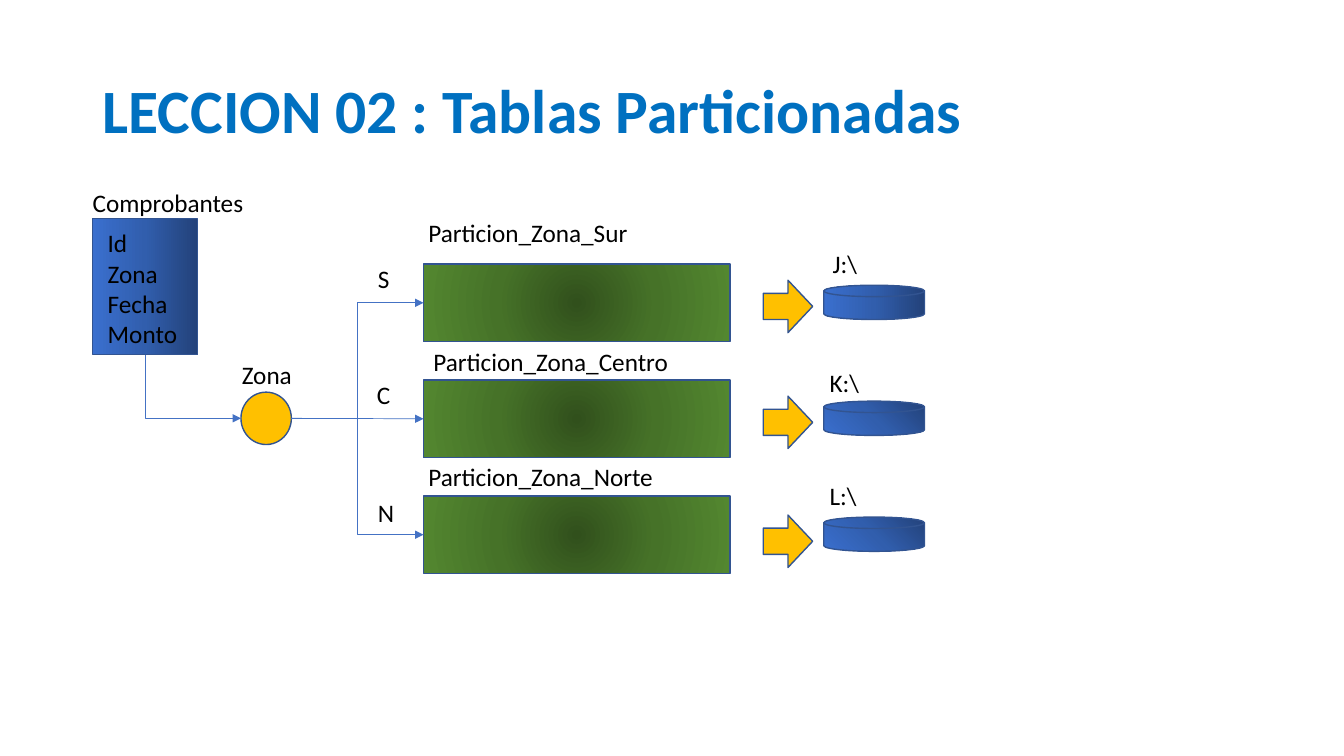
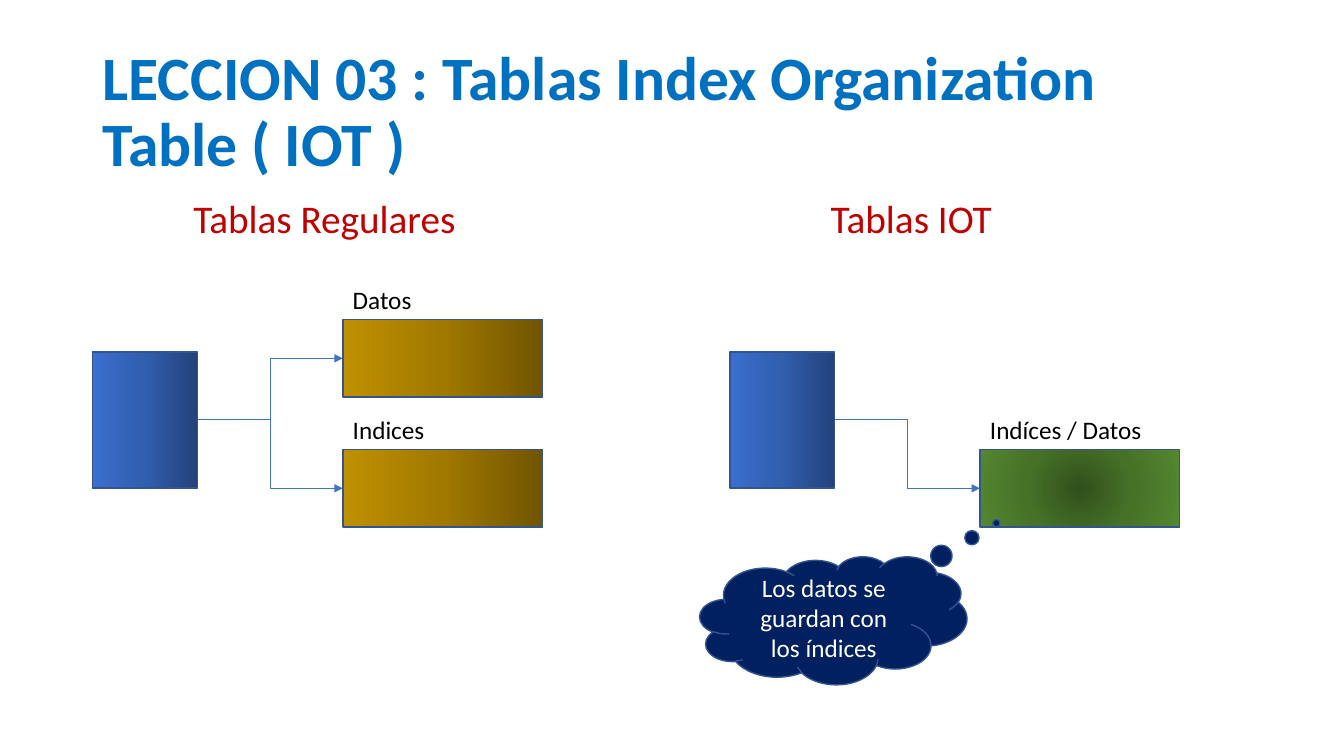
"""Build two slides on partitioned tables and index organized tables."""
from dataclasses import dataclass

from lxml.etree import SubElement
from pptx import Presentation
from pptx.dml.color import RGBColor
from pptx.enum.shapes import MSO_CONNECTOR as Link, MSO_SHAPE as Kind
from pptx.enum.text import MSO_ANCHOR as Anchor, MSO_AUTO_SIZE as Fit, PP_ALIGN as Align
from pptx.oxml.ns import qn
from pptx.util import Inches, Pt


@dataclass(frozen=True)
class Theme:
    font: str = "Calibri"
    title_size: int = 44
    heading_size: int = 28
    body_size: int = 18
    title: str = "0070C0"
    heading: str = "C00000"
    text: str = "000000"
    light: str = "FFFFFF"
    outline: str = "325491"
    link: str = "4472C4"
    yellow: str = "FFC000"
    navy: str = "002060"
    blue: tuple = ("23427A", "315EAD", "3A6FCE")
    green: tuple = ("31501C", "467228", "538730")
    gold: tuple = ("715500", "A17900", "BF9000")


THEME = Theme()
CENTER = (50, 50, 50, 50)
CORNER = (100, 0, 0, 100)
TABLE_SIZE = (1.04, 1.35)
BAR_HEIGHT = 0.77
SITES = {
    Kind.RECTANGLE: {"left": 1, "bottom": 2, "right": 3},
    Kind.OVAL: {"left": 2, "right": 6},
}

PARTITION_TITLE = "LECCION 02 : Tablas Particionadas"
PARTITION_TOP, PARTITION_STEP = 2.62, 1.15
PARTITIONS = [
    {"arrow_top": 2.78, "focus": None},
    {"arrow_top": 3.93, "focus": CORNER},
    {"arrow_top": 5.11, "focus": CORNER},
]
PARTITION_LABELS = [
    ("Comprobantes", 0.82, 1.81, 1.71),
    ("Particion_Zona_Sur", 4.15, 2.11, 2.2),
    ("Particion_Zona_Centro", 4.2, 3.39, 2.55),
    ("Particion_Zona_Norte", 4.15, 4.53, 2.45),
    ("Id\nZona\nFecha\nMonto", 0.97, 2.21, 0.9),
    ("Zona", 2.3, 3.52, 0.7),
    ("S", 3.65, 2.56, 0.32),
    ("C", 3.64, 3.71, 0.34),
    ("N", 3.65, 4.88, 0.36),
    ("J:\\", 8.16, 2.41, 0.45),
    ("K:\\", 8.13, 3.59, 0.5),
    ("L:\\", 8.13, 4.72, 0.48),
]

IOT_TITLE = "LECCION 03 : Tablas Index Organization Table ( IOT )"
IOT_GROUPS = [
    {
        "heading": ("Tablas Regulares", 1.82, 1.88, 2.83),
        "left": 0.92,
        "segments": [
            ("Datos", 3.17, 0.79, THEME.gold, None),
            ("Indices", 4.46, 0.92, THEME.gold, None),
        ],
    },
    {
        "heading": ("Tablas IOT", 8.14, 1.88, 1.82),
        "left": 7.24,
        "segments": [("Indíces / Datos", 4.46, 1.72, THEME.green, CENTER)],
    },
]
IOT_NOTE = "Los datos se guardan con los índices"


def rgb(color):
    return RGBColor.from_string(color)


def write(box, text, size, color, bold=False, align=Align.LEFT):
    frame = box.text_frame
    frame.text = text
    for para in frame.paragraphs:
        para.alignment = align
        para.font.name = THEME.font
        para.font.size = Pt(size)
        para.font.bold = bold
        para.font.color.rgb = rgb(color)
    return frame


def add_title(page, text):
    box = page.shapes.add_textbox(Inches(0.92), Inches(0.4), Inches(11.5), Inches(1.45))
    frame = write(box, text, THEME.title_size, THEME.title, bold=True)
    frame.word_wrap = True
    frame.vertical_anchor = Anchor.MIDDLE
    frame.paragraphs[0].line_spacing = 0.9


def add_label(page, text, left, top, width, size=THEME.body_size, color=THEME.text):
    height = 0.1 + (text.count("\n") + 1) * size / 60
    box = page.shapes.add_textbox(*map(Inches, (left, top, width, height)))
    frame = write(box, text, size, color)
    frame.word_wrap = False
    frame.auto_size = Fit.SHAPE_TO_FIT_TEXT


def fill_gradient(shape, colors, focus):
    shape.fill.gradient()
    gradient = shape.element.spPr.find(qn("a:gradFill"))
    gradient.clear()
    gradient.set("rotWithShape", "1")
    stops = SubElement(gradient, qn("a:gsLst"))
    for position, color in zip((0, 50000, 100000), colors):
        stop = SubElement(stops, qn("a:gs"), pos=str(position))
        SubElement(stop, qn("a:srgbClr"), val=color)
    if focus:
        radial = SubElement(gradient, qn("a:path"), path="circle")
        edges = {edge: str(share * 1000) for edge, share in zip("ltrb", focus)}
        SubElement(radial, qn("a:fillToRect"), edges)
    else:
        SubElement(gradient, qn("a:lin"), ang="10800000", scaled="1")


def add_block(page, kind, left, top, width, height, fill, focus=None):
    shape = page.shapes.add_shape(kind, *map(Inches, (left, top, width, height)))
    shape.shadow.inherit = False
    shape.line.color.rgb = rgb(THEME.outline)
    shape.line.width = Pt(1)
    if isinstance(fill, tuple):
        fill_gradient(shape, fill, focus)
    else:
        shape.fill.solid()
        shape.fill.fore_color.rgb = rgb(fill)
    return shape


def add_table_block(page, left, top):
    return add_block(page, Kind.RECTANGLE, left, top, *TABLE_SIZE, THEME.blue)


def side_point(shape, side):
    middle = shape.top + shape.height // 2
    return {
        "left": (shape.left, middle),
        "right": (shape.left + shape.width, middle),
        "bottom": (shape.left + shape.width // 2, shape.top + shape.height),
    }[side]


def turn_corner(connector, start, end):
    width, height = end[0] - start[0], end[1] - start[1]
    connector.left = (start[0] + end[0] - height) // 2
    connector.top = (start[1] + end[1] - width) // 2
    connector.width, connector.height = height, width
    properties = connector.element.spPr
    frame = properties.find(qn("a:xfrm"))
    frame.set("rot", "16200000")
    frame.set("flipH", "1")
    properties.find(qn("a:prstGeom")).set("prst", "bentConnector2")


def connect(page, source, target, side="right"):
    start, end = side_point(source, side), side_point(target, "left")
    kind = Link.STRAIGHT if abs(start[1] - end[1]) < Inches(0.02) else Link.ELBOW
    connector = page.shapes.add_connector(kind, *start, *end)
    if side == "bottom":
        turn_corner(connector, start, end)
    connector.line.color.rgb = rgb(THEME.link)
    connector.line.width = Pt(0.5)
    properties = connector.element.spPr
    SubElement(properties.find(qn("a:ln")), qn("a:tailEnd"), type="triangle")
    SubElement(properties, qn("a:effectLst"))
    glue = next(connector.element.iter(qn("p:cNvCxnSpPr")))
    for tag, shape, edge in (("a:stCxn", source, side), ("a:endCxn", target, "left")):
        site = SITES[shape.auto_shape_type][edge]
        SubElement(glue, qn(tag), id=str(shape.shape_id), idx=str(site))


def build_partitions(page):
    add_title(page, PARTITION_TITLE)
    table = add_table_block(page, 0.92, 2.17)
    key = add_block(page, Kind.OVAL, 2.39, 3.89, 0.5, 0.52, THEME.yellow)
    connect(page, table, key, "bottom")
    for index, partition in enumerate(PARTITIONS):
        top = PARTITION_TOP + index * PARTITION_STEP
        bar = add_block(page, Kind.RECTANGLE, 4.2, top, 3.04, BAR_HEIGHT, THEME.green, CENTER)
        connect(page, key, bar)
        add_block(page, Kind.FLOWCHART_MAGNETIC_DISK, 8.17, top + 0.21, 1, 0.34,
                  THEME.blue, partition["focus"])
        add_block(page, Kind.RIGHT_ARROW, 7.57, partition["arrow_top"], 0.49, 0.52, THEME.yellow)
    for label in PARTITION_LABELS:
        add_label(page, *label)


def build_iot(page):
    add_title(page, IOT_TITLE)
    for group in IOT_GROUPS:
        add_label(page, *group["heading"], THEME.heading_size, THEME.heading)
        table = add_table_block(page, group["left"], 3.49)
        left = group["left"] + 2.48
        for name, top, width, colors, focus in group["segments"]:
            bar = add_block(page, Kind.RECTANGLE, left, top, 1.98, BAR_HEIGHT, colors, focus)
            add_label(page, name, left, top - 0.4, width)
            connect(page, table, bar)
    cloud = add_block(page, Kind.CLOUD_CALLOUT, 6.94, 5.52, 2.65, 1.27, THEME.navy)
    cloud.adjustments[0], cloud.adjustments[1] = 0.61, -0.76
    frame = write(cloud, IOT_NOTE, THEME.body_size, THEME.light, align=Align.CENTER)
    frame.word_wrap = True
    frame.vertical_anchor = Anchor.MIDDLE


def main():
    deck = Presentation()
    deck.slide_width, deck.slide_height = Inches(13.33), Inches(7.5)
    for build in (build_partitions, build_iot):
        build(deck.slides.add_slide(deck.slide_layouts[6]))
    deck.save("out.pptx")


if __name__ == "__main__":
    main()
